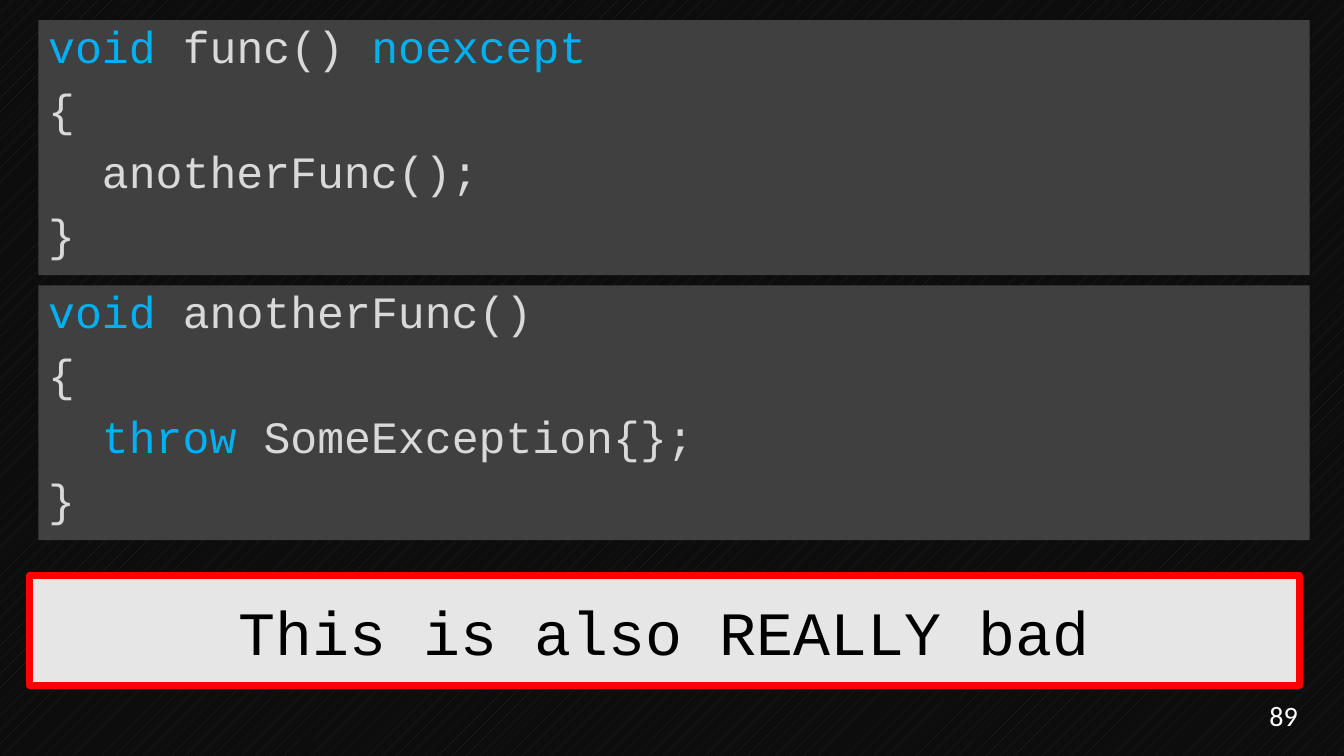
"""Build a slide on a noexcept function that calls a throwing one."""
from dataclasses import dataclass

from pptx import Presentation
from pptx.dml.color import RGBColor
from pptx.enum.dml import MSO_PATTERN
from pptx.enum.shapes import MSO_SHAPE
from pptx.enum.text import MSO_ANCHOR, PP_ALIGN
from pptx.util import Inches, Pt

RECT = MSO_SHAPE.RECTANGLE
DOTS = MSO_PATTERN.PERCENT_5
TOP, MIDDLE = MSO_ANCHOR.TOP, MSO_ANCHOR.MIDDLE
LEFT, CENTER, RIGHT = PP_ALIGN.LEFT, PP_ALIGN.CENTER, PP_ALIGN.RIGHT
BLANK = 6
WIDTH, HEIGHT = Inches(13.33), Inches(7.5)
COLORS = {
    "dots": "262626", "back": "0D0D0D", "code": "404040", "keyword": "00B0F0",
    "plain": "D9D9D9", "alert": "E7E6E6", "border": "FF0000",
    "black": "000000", "white": "FFFFFF",
}

Run = tuple[str, str]
Line = tuple[Run, ...]


@dataclass(frozen=True)
class Style:
    font: dict
    paragraph: dict
    anchor: MSO_ANCHOR
    gap: int = 0
    fill: str = ""
    border: str = ""


@dataclass(frozen=True)
class Box:
    """Place is left, top, width and height in percent of the slide."""
    place: tuple[float, float, float, float]
    lines: tuple[Line, ...]
    style: Style


CODE = Style({"name": "Courier New", "size": Pt(32)},
             {"alignment": LEFT, "line_spacing": 0.9}, TOP, gap=10, fill="code")
ALERT = Style({"name": "Courier New", "size": Pt(44)},
              {"alignment": CENTER}, MIDDLE, fill="alert", border="border")
NUMBER = Style({"name": "Calibri", "size": Pt(20)}, {"alignment": RIGHT}, MIDDLE)

OPEN, CLOSE = (("{", "plain"),), (("}", "plain"),)
FUNCTIONS: tuple[tuple[Line, Line], ...] = (
    ((("void ", "keyword"), ("func() ", "plain"), ("noexcept", "keyword")),
     (("  anotherFunc();", "plain"),)),
    ((("void ", "keyword"), ("anotherFunc()", "plain")),
     (("  throw ", "keyword"), ("SomeException{};", "plain"))),
)
CODE_TOP, CODE_PITCH = 2.67, 35.07
BOXES = [
    Box((2.85, CODE_TOP + i * CODE_PITCH, 94.6, 33.73),
        (head, OPEN, body, CLOSE), CODE)
    for i, (head, body) in enumerate(FUNCTIONS)
] + [
    Box((2.18, 76.13, 94.52, 14.53), ((("This is also REALLY bad", "black"),),), ALERT),
    Box((88.82, 92, 8.48, 5.33), ((("89", "white"),),), NUMBER),
]


def color(name: str) -> RGBColor:
    """Look up a named colour."""
    return RGBColor.from_string(COLORS[name])


def apply(target: object, values: dict) -> None:
    """Set each named attribute of the target."""
    for name, value in values.items():
        setattr(target, name, value)


def add_box(s, box: Box) -> None:
    """Draw one box with its text."""
    style = box.style
    x, y, w, h = box.place
    area = [round(v * side / 100)
            for v, side in ((x, WIDTH), (y, HEIGHT), (w, WIDTH), (h, HEIGHT))]
    if style.fill:
        sp = s.shapes.add_shape(RECT, *area)
        sp.shadow.inherit = False
        sp.fill.solid()
        sp.fill.fore_color.rgb = color(style.fill)
        if style.border:
            sp.line.color.rgb = color(style.border)
            sp.line.width = Pt(5)
        else:
            sp.line.fill.background()
    else:
        sp = s.shapes.add_textbox(*area)
    tf = sp.text_frame
    apply(tf, {"word_wrap": True, "vertical_anchor": style.anchor})
    for i, line in enumerate(box.lines):
        p = tf.add_paragraph() if i else tf.paragraphs[0]
        apply(p, style.paragraph)
        if i:
            p.space_before = Pt(style.gap)
        for text, name in line:
            r = p.add_run()
            r.text = text
            apply(r.font, style.font)
            r.font.color.rgb = color(name)


def main() -> None:
    """Build and save the slide."""
    prs = Presentation()
    apply(prs, {"slide_width": WIDTH, "slide_height": HEIGHT})
    s = prs.slides.add_slide(prs.slide_layouts[BLANK])
    fill = s.background.fill
    fill.patterned()
    fill.pattern = DOTS
    fill.fore_color.rgb = color("dots")
    fill.back_color.rgb = color("back")
    for box in BOXES:
        add_box(s, box)
    prs.save("out.pptx")


if __name__ == "__main__":
    main()
